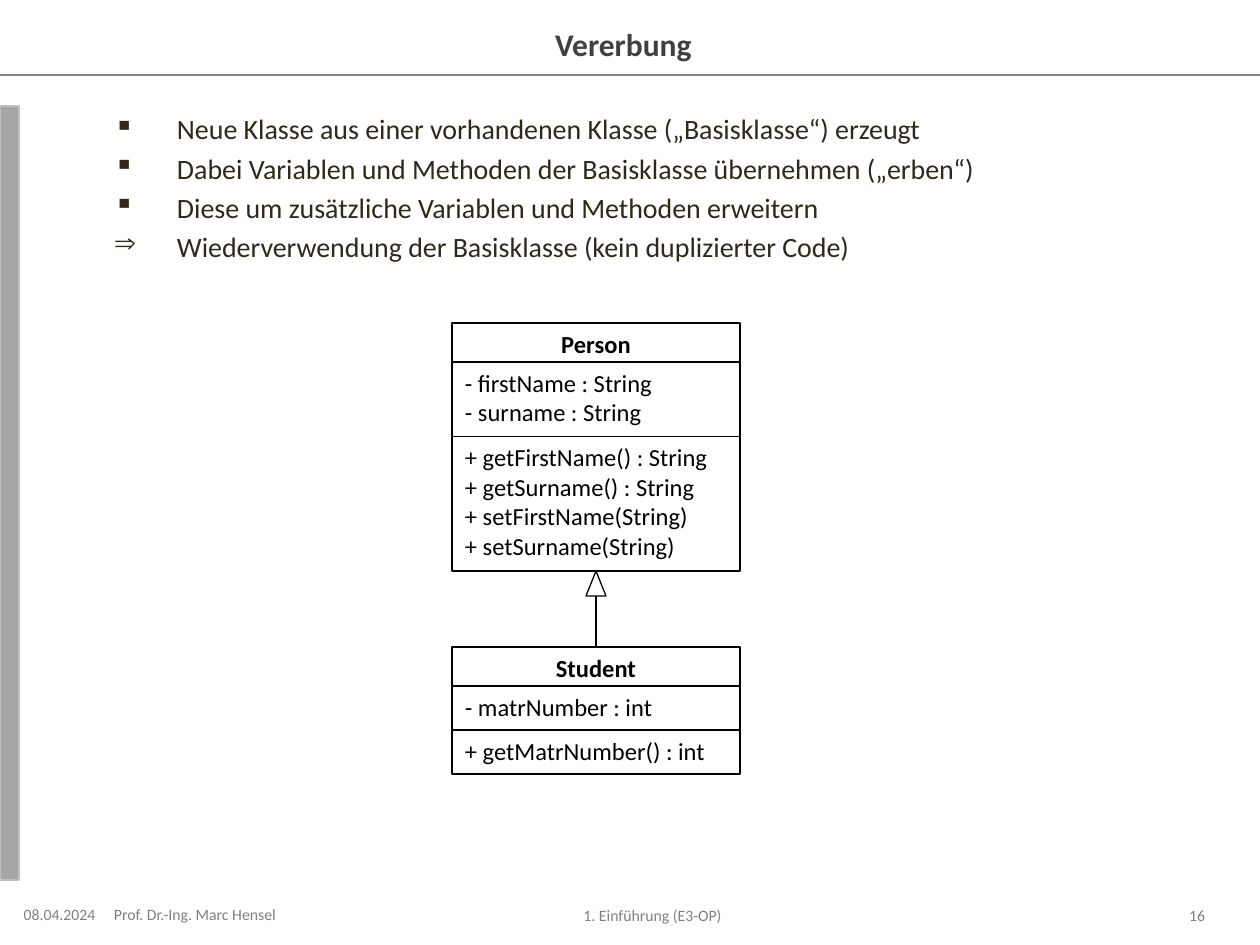
from dataclasses import dataclass

from lxml.etree import SubElement
from pptx import Presentation
from pptx.dml.color import RGBColor
from pptx.enum.shapes import MSO_CONNECTOR as Connector, MSO_SHAPE as Preset
from pptx.enum.text import MSO_ANCHOR as Anchor, PP_ALIGN as Align
from pptx.oxml.ns import qn
from pptx.util import Emu, Pt


@dataclass(frozen=True)
class Theme:
    font: str = "Calibri"
    title: str = "404040"
    body: str = "2F291D"
    muted: str = "808080"
    bar: str = "A6A6A6"
    bar_edge: str = "BFBFBF"
    ink: str = "000000"
    paper: str = "FFFFFF"
    title_size: int = 18
    body_size: int = 16
    class_size: int = 14
    footer_size: int = 9
    line_width: float = 0.75


THEME = Theme()
EMU_PER_PX = 914400 / 126
WIDTH, HEIGHT = 1260, 945
INSET, INSET_Y = 13, 6


def px(length):
    return Emu(round(length * EMU_PER_PX))


def color(value):
    return RGBColor.from_string(value)


def set_insets(frame, left, right):
    frame.margin_left, frame.margin_right = px(left), px(right)
    frame.margin_top = frame.margin_bottom = px(INSET_Y)
    frame.word_wrap = True


def add_run(paragraph, text, size, ink, bold=False):
    run = paragraph.add_run()
    run.text = text
    run.font.name = THEME.font
    run.font.size = Pt(size)
    run.font.bold = bold
    run.font.color.rgb = color(ink)


def next_paragraph(frame, index):
    return frame.add_paragraph() if index else frame.paragraphs[0]


def add_box(shapes, preset, box, fill, edge):
    shape = shapes.add_shape(preset, *map(px, box))
    shape.shadow.inherit = False
    shape.fill.solid()
    shape.fill.fore_color.rgb = color(fill)
    shape.line.color.rgb = color(edge)
    shape.line.width = Pt(THEME.line_width)
    return shape


def add_line(shapes, start, end, ink):
    line = shapes.add_connector(Connector.STRAIGHT, *map(px, (*start, *end)))
    line.line.color.rgb = color(ink)
    line.line.width = Pt(THEME.line_width)
    SubElement(line._element.spPr, qn("a:effectLst"))


def add_label(shapes, box, text, size, ink, align, bold=False):
    """One line of text, flush with the box edge it is aligned to."""
    frame = shapes.add_textbox(*map(px, box)).text_frame
    set_insets(frame, *((INSET, 0) if align == Align.RIGHT else (0, INSET)))
    frame.vertical_anchor = Anchor.MIDDLE
    paragraph = frame.paragraphs[0]
    paragraph.alignment = align
    add_run(paragraph, text, size, ink, bold)


def add_header(shapes, box, title):
    left, top, width, height = box
    add_line(shapes, (left, top + height), (left + width, top + height), THEME.muted)
    add_label(shapes, (left + 156, top + 19, width - 312, 49), title,
              THEME.title_size, THEME.title, Align.CENTER, bold=True)


def add_footer(shapes, box, date, author, topic, number):
    left, top, _, height = box
    for text, offset, drop, width, align in (
        (date, 19, 0, 94, Align.CENTER),
        (author, 114, 0, 189, Align.LEFT),
        (topic, 312, 1, 694, Align.CENTER),
        (number, 1124, 1, 81, Align.RIGHT),
    ):
        add_label(shapes, (left + offset, top + drop, width, height), text,
                  THEME.footer_size, THEME.muted, align)


def add_bullets(shapes, box, items):
    frame = shapes.add_textbox(*map(px, box)).text_frame
    set_insets(frame, 0, INSET)
    indent = px(63)
    for index, (mark, text) in enumerate(items):
        paragraph = next_paragraph(frame, index)
        properties = paragraph._p.get_or_add_pPr()
        properties.set("marL", str(indent))
        properties.set("indent", str(-indent))
        SubElement(properties, qn("a:buChar"), char=mark)
        if index:
            paragraph.space_before = Pt(THEME.body_size * 0.2)
        add_run(paragraph, text, THEME.body_size, THEME.body)


def add_class(shapes, box, name, attributes, methods):
    """UML class whose compartments share the height left under the name."""
    left, top, width, height = box
    name_height, line_height = 39, 30
    padding = (height - name_height - line_height * len(attributes + methods)) / 2
    group = shapes.add_group_shape().shapes
    for lines in ([name], attributes, methods):
        heading = lines == [name]
        row = name_height if heading else line_height * len(lines) + padding
        shape = add_box(group, Preset.RECTANGLE, (left, top, width, row),
                        THEME.paper, THEME.ink)
        frame = shape.text_frame
        set_insets(frame, INSET, INSET)
        frame.vertical_anchor = Anchor.TOP
        for index, text in enumerate(lines):
            paragraph = next_paragraph(frame, index)
            paragraph.alignment = Align.CENTER if heading else Align.LEFT
            add_run(paragraph, text, THEME.class_size, THEME.ink, heading)
        top += row


def add_inheritance(shapes, box):
    """Line up from the subclass, ending in a hollow triangle."""
    left, top, width, height = box
    center = left + width / 2
    add_line(shapes, (center, top + height), (center, top), THEME.ink)
    add_box(shapes, Preset.ISOSCELES_TRIANGLE, (left, top, width, 25),
            THEME.paper, THEME.ink)


def add_class_diagram(shapes, box):
    left, top, width, _ = box
    base_height, gap, arrow_width = 248, 76, 20
    base_bottom = top + base_height
    add_class(shapes, (left, top, width, base_height), "Person",
              ["- firstName : String", "- surname : String"],
              ["+ getFirstName() : String", "+ getSurname() : String",
               "+ setFirstName(String)", "+ setSurname(String)"])
    add_class(shapes, (left, base_bottom + gap, width, 127), "Student",
              ["- matrNumber : int"], ["+ getMatrNumber() : int"])
    add_inheritance(shapes, (left + (width - arrow_width) / 2, base_bottom,
                             arrow_width, gap))


def main():
    presentation = Presentation()
    presentation.slide_width, presentation.slide_height = px(WIDTH), px(HEIGHT)
    slide = presentation.slides.add_slide(presentation.slide_layouts[6])
    shapes = slide.shapes
    add_header(shapes, (0, 0, WIDTH, 75), "Vererbung")
    add_box(shapes, Preset.RECTANGLE, (0, 106, 19, 774), THEME.bar, THEME.bar_edge)
    add_bullets(shapes, (114, 106, 1091, 774), [
        ("▪", "Neue Klasse aus einer vorhandenen Klasse („Basisklasse“) erzeugt"),
        ("▪", "Dabei Variablen und Methoden der Basisklasse übernehmen („erben“)"),
        ("▪", "Diese um zusätzliche Variablen und Methoden erweitern"),
        ("⇒", "Wiederverwendung der Basisklasse (kein duplizierter Code)"),
    ])
    add_class_diagram(shapes, (452, 323, 288, 451))
    add_footer(shapes, (0, 904, WIDTH, 20), "08.04.2024",
               "Prof. Dr.-Ing. Marc Hensel", "1. Einführung (E3-OP)", "16")
    presentation.save("out.pptx")


if __name__ == "__main__":
    main()
